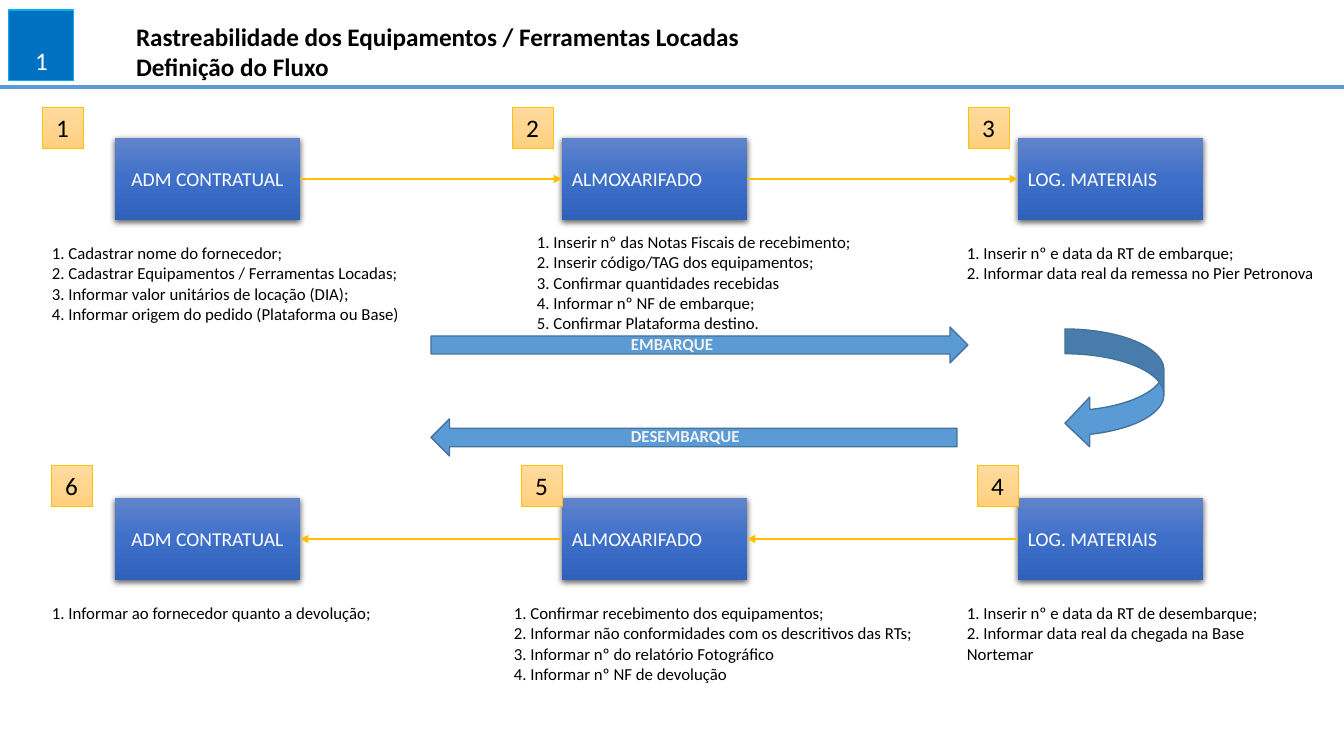
from copy import deepcopy
from pptx import Presentation, util as u
from pptx.dml.color import RGBColor
from pptx.enum import shapes as sh, text as t
from pptx.oxml import parse_xml
from pptx.oxml.ns import nsdecls, qn

PX = 914400 / 100.8
COLORS = {
    "black": "000000", "white": "FFFFFF", "pale": "F2F2F2", "gold": "FFC000",
    "blue": "5B9BD5", "edge": "43739E", "tab": "0070C0", "rim": "00B0F0",
}
NODE = ("6183CB", "3E70CA", "3062BB")
BADGE = ("FFDB9E", "FFD590", "FFD07C")
KIND = sh.MSO_SHAPE
LEFT, CENTER = t.PP_ALIGN.LEFT, t.PP_ALIGN.CENTER
TOP, MIDDLE, BOTTOM = t.MSO_ANCHOR.TOP, t.MSO_ANCHOR.MIDDLE, t.MSO_ANCHOR.BOTTOM
NODE_W, NODE_H, BADGE_W = 185, 82, 41


def emu(*vals):
    return [u.Emu(round(v * PX)) for v in vals]


def rgb(name):
    return RGBColor.from_string(COLORS[name])


def write(shape, lines, size, color="black", bold=False, align=LEFT, anchor=TOP):
    frame = shape.text_frame
    frame.word_wrap = True
    frame.auto_size = t.MSO_AUTO_SIZE.NONE
    frame.vertical_anchor = anchor
    frame.text = "\n".join(lines)
    for para in frame.paragraphs:
        para.alignment = align
        para.line_spacing = 1.0
        font = para.font
        font.name, font.size, font.bold = "Calibri", u.Pt(size), bold
        font.color.rgb = rgb(color)


def note(slide, box, lines, **style):
    write(slide.shapes.add_textbox(*emu(*box)), lines, 12, **style)


def shade(shape, tones):
    """Fill from top to bottom with three evenly spaced tones."""
    shape.fill.gradient()
    shape.fill.gradient_angle = 270
    stops = shape._element.spPr.find(".//" + qn("a:gsLst"))
    stops.insert(1, deepcopy(stops[0]))
    for i, (stop, tone) in enumerate(zip(shape.fill.gradient_stops, tones)):
        stop.position = i / 2
        stop.color.rgb = RGBColor.from_string(tone)


def draw(slide, kind, box, fill=None, line=None, width=1):
    shape = slide.shapes.add_shape(kind, *emu(*box))
    shape.shadow.inherit = False
    if isinstance(fill, tuple):
        shade(shape, fill)
    else:
        shape.fill.solid()
        shape.fill.fore_color.rgb = rgb(fill)
    if line:
        shape.line.color.rgb = rgb(line)
        shape.line.width = u.Pt(width)
    else:
        shape.line.fill.background()
    return shape


def rule(slide, ends, color, width):
    line = slide.shapes.add_connector(sh.MSO_CONNECTOR.STRAIGHT, *emu(*ends))
    line.line.color.rgb = rgb(color)
    line.line.width = u.Pt(width)
    line._element.spPr.append(parse_xml(f"<a:effectLst {nsdecls('a')}/>"))
    return line


def link(slide, start, end, forward):
    line = rule(slide, (0, 0, 0, 0), "gold", 1.5)
    line.begin_connect(start, 3 if forward else 1)
    line.end_connect(end, 1 if forward else 3)
    line.line._get_or_add_ln().append(
        parse_xml(f'<a:tailEnd {nsdecls("a")} type="triangle"/>'))


def node(slide, x, y, name, align):
    shape = draw(slide, KIND.RECTANGLE, (x, y, NODE_W, NODE_H), NODE)
    shape._element.spPr.find(qn("a:effectLst")).append(parse_xml(
        f'<a:outerShdw {nsdecls("a")} blurRad="57150" dist="19050" dir="5400000" '
        'algn="ctr" rotWithShape="0"><a:srgbClr val="000000">'
        '<a:alpha val="63000"/></a:srgbClr></a:outerShdw>'))
    write(shape, [name], 14, "white", align=align, anchor=MIDDLE)
    return shape


def header(slide, box):
    x, y, w, h = box
    title = slide.shapes.title
    title.left, title.top, title.width, title.height = emu(x + 126, y + 16, 1015, 72)
    write(title, ["Rastreabilidade dos Equipamentos / Ferramentas Locadas",
                  "Definição do Fluxo"], 18, bold=True)
    rule(slide, (x, y + h, x + w, y + h), "blue", 2.25)
    tab = draw(slide, KIND.RECTANGLE, (x + 9, y + 10, 65, 71), "tab", "rim", 0.75)
    write(tab, ["1"], 18, "white", align=CENTER, anchor=BOTTOM)


def flow(slide, top, steps, forward, badge):
    """One row of three nodes; badge gives the shift and rise of the numbers."""
    shift, rise = badge
    nodes = []
    for (x, tag_x, name, align), (num, note_x, drop, width, lines) in zip(COLUMNS, steps):
        nodes.append(node(slide, x, top, name, align))
        tag = draw(slide, KIND.RECTANGLE,
                   (tag_x + shift, top - rise, BADGE_W, BADGE_W), BADGE, "gold", 0.5)
        write(tag, [num], 18, align=CENTER, anchor=MIDDLE)
        note(slide, (note_x, top + drop, width, 10 + 20 * len(lines)), lines)
    path_nodes = nodes if forward else nodes[::-1]
    for start, end in zip(path_nodes, path_nodes[1:]):
        link(slide, start, end, forward)


def route(slide, box):
    """Block arrows between the two rows."""
    x, y, w, h = box
    for kind, dy, width, high, label in (
            (KIND.RIGHT_ARROW, 0, 537, 36, "EMBARQUE"),
            (KIND.LEFT_ARROW, 92, 526, 37, "DESEMBARQUE")):
        draw(slide, kind, (x, y + dy, width, high), "blue", "edge")
        note(slide, (x + 190, y + dy + 2, 188, 30), [label], color="pale", bold=True)
    draw(slide, KIND.CURVED_LEFT_ARROW, (x + w - 99, y + 2, 99, 119), "blue", "edge")


# Node left, badge left, name, alignment
COLUMNS = (
    (115, 42, "ADM CONTRATUAL", CENTER),
    (562, 512, "ALMOXARIFADO", LEFT),
    (1018, 968, "LOG. MATERIAIS", LEFT),
)
# Number, note left, note drop, note width, note lines
OUT = (
    ("1", 42, 100, 368, ["1. Cadastrar nome do fornecedor;",
                         "2. Cadastrar Equipamentos / Ferramentas Locadas;",
                         "3. Informar valor unitários de locação (DIA);",
                         "4. Informar origem do pedido (Plataforma ou Base)"]),
    ("2", 527, 89, 368, ["1. Inserir nº das Notas Fiscais de recebimento;",
                         "2. Inserir código/TAG dos equipamentos;",
                         "3. Confirmar quantidades recebidas",
                         "4. Informar nº NF de embarque;",
                         "5. Confirmar Plataforma destino."]),
    ("3", 957, 100, 368, ["1. Inserir nº e data da RT de embarque;",
                          "2. Informar data real da remessa no Pier Petronova"]),
)
BACK = (
    ("6", 42, 100, 368, ["1. Informar ao fornecedor quanto a devolução;"]),
    ("5", 504, 100, 423, ["1. Confirmar recebimento dos equipamentos;",
                          "2. Informar não conformidades com os descritivos das RTs;",
                          "3. Informar nº do relatório Fotográfico",
                          "4. Informar nº NF de devolução"]),
    ("4", 957, 100, 368, ["1. Inserir nº e data da RT de desembarque;",
                          "2. Informar data real da chegada na Base Nortemar"]),
)

deck = Presentation()
deck.slide_width, deck.slide_height = emu(1344, 756)
page = deck.slides.add_slide(deck.slide_layouts[5])
header(page, (0, 0, 1344, 87))
flow(page, 138, OUT, True, (0, 31))
flow(page, 498, BACK, False, (9, 33))
route(page, (431, 327, 733, 130))
deck.save("out.pptx")
